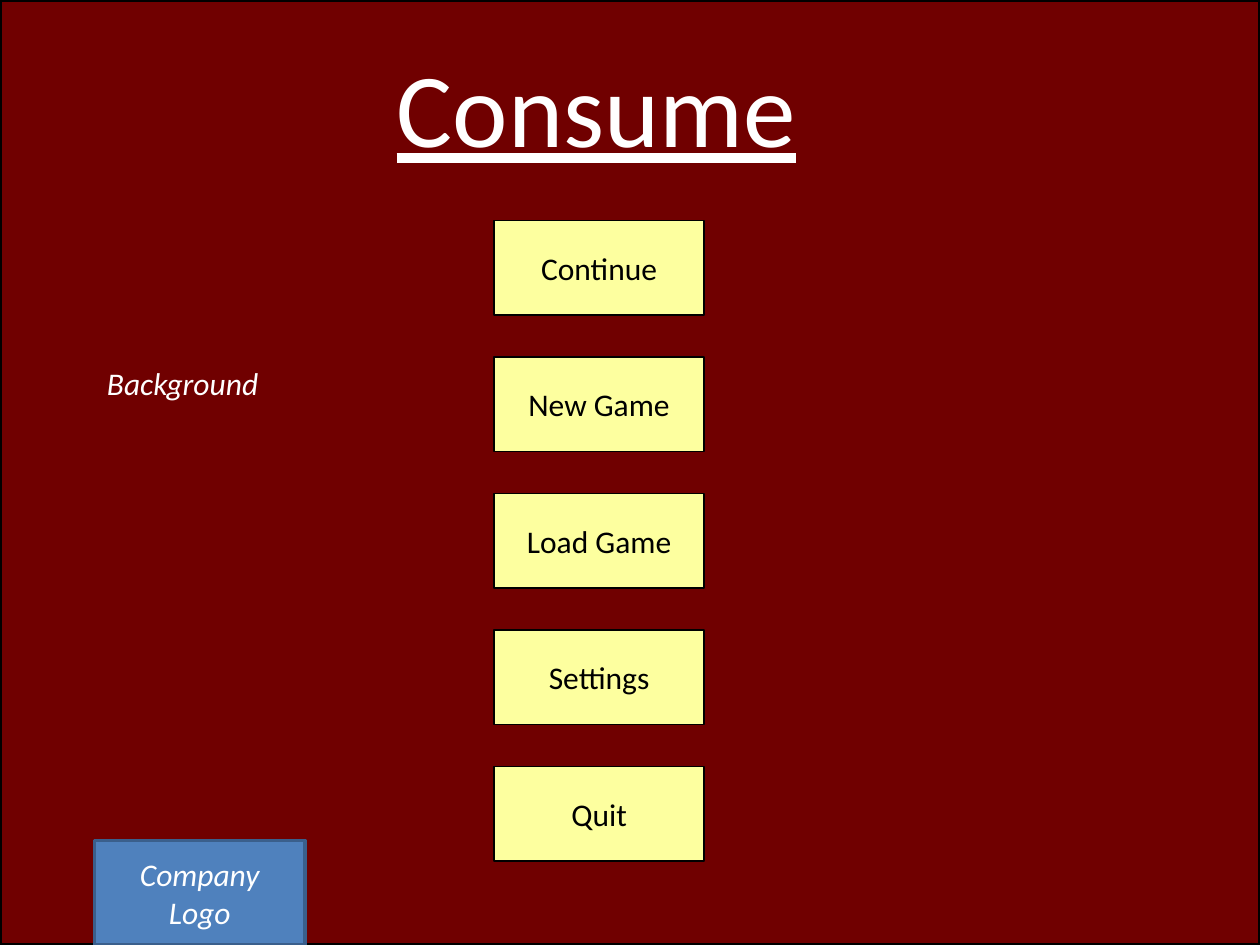
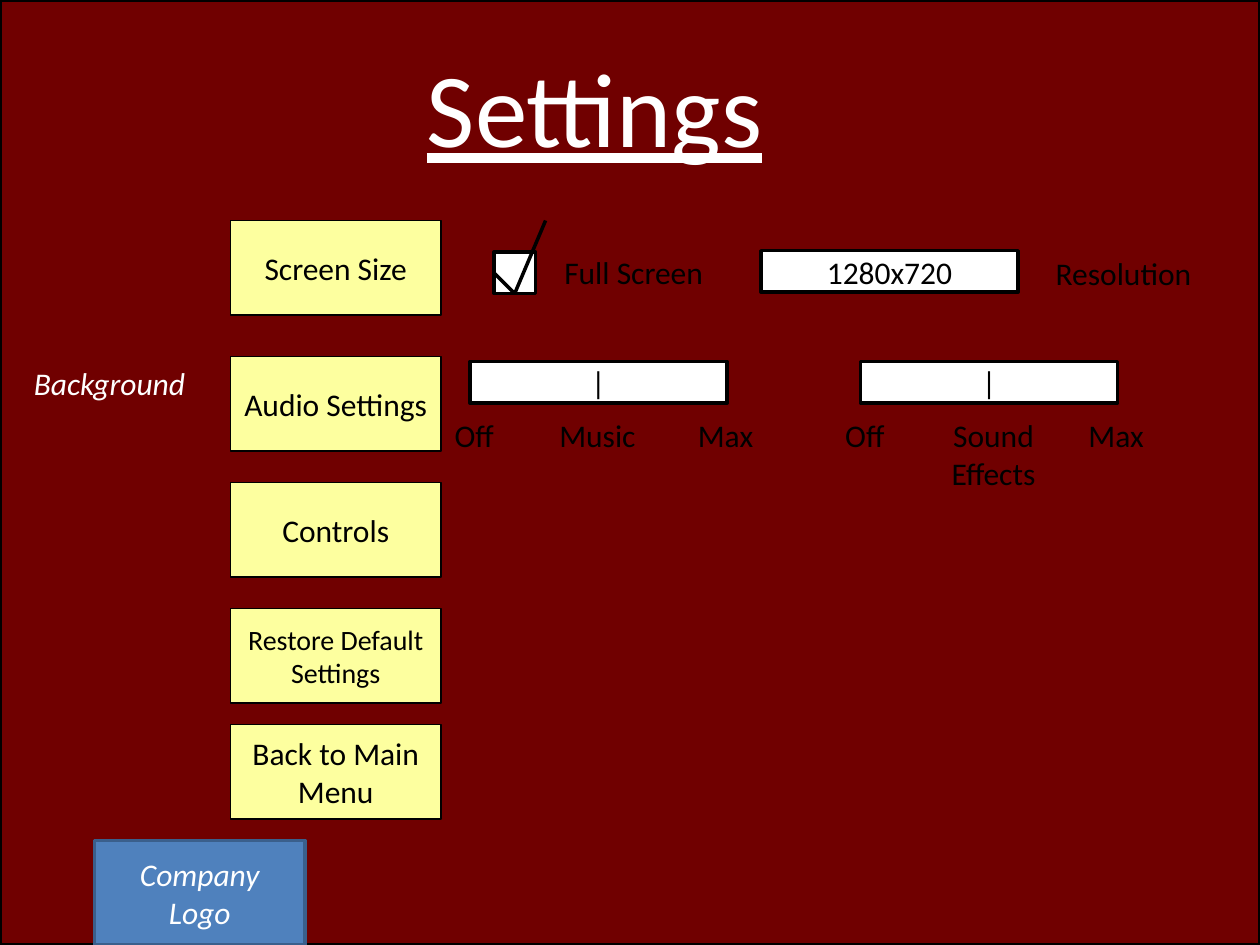
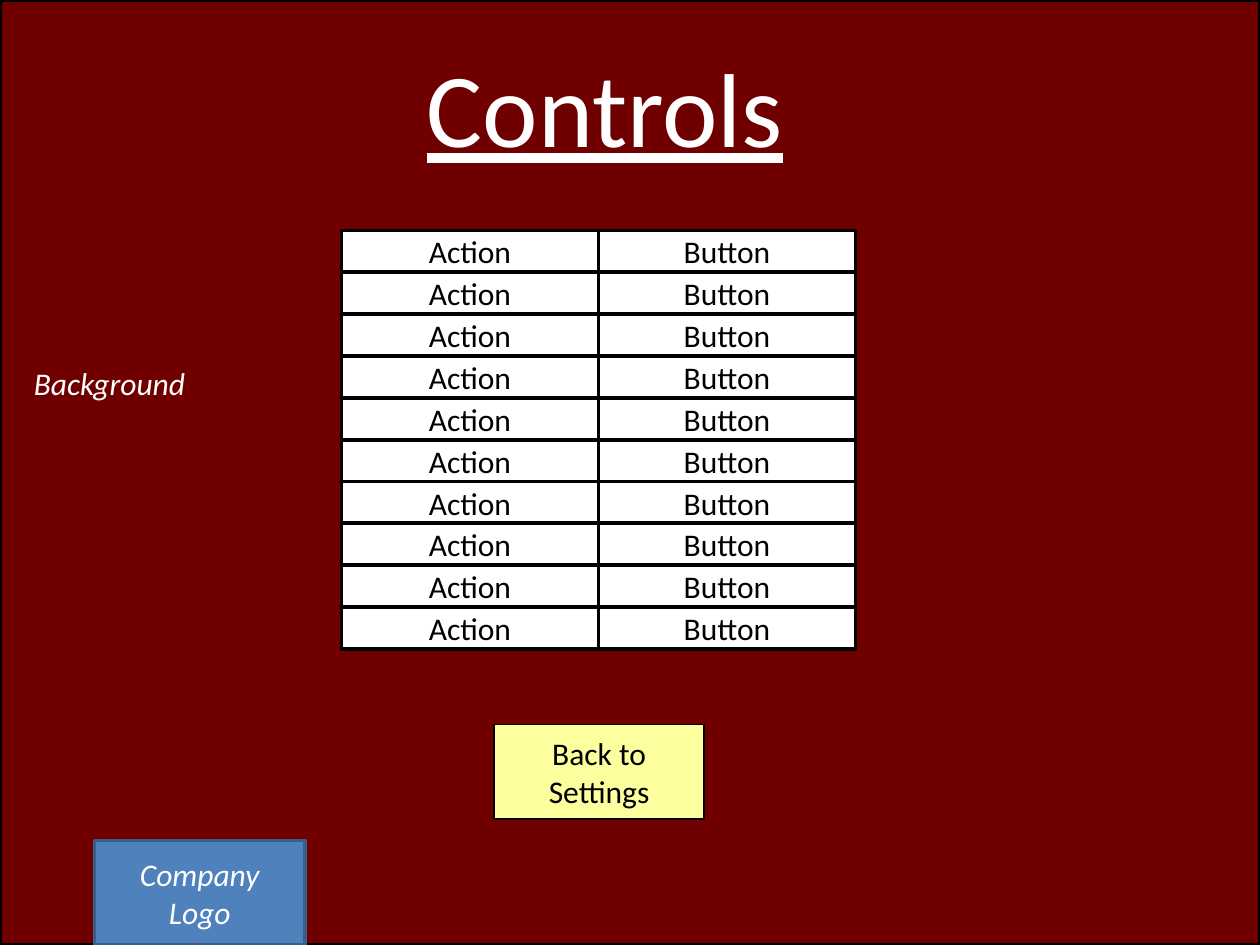
from dataclasses import dataclass

import pptx
import pptx.dml.color
import pptx.enum.shapes
import pptx.enum.text
import pptx.oxml
import pptx.oxml.ns
import pptx.util
from pptx.util import Inches

ALIGN = pptx.enum.text.PP_ALIGN
ANCHOR = pptx.enum.text.MSO_ANCHOR
AUTO_SIZE = pptx.enum.text.MSO_AUTO_SIZE
LEFT_SIDE, BOTTOM_SIDE = 1, 2


@dataclass(frozen=True)
class Theme:
    font: str = "Calibri"
    backdrop: str = "700000"
    button: str = "FDFF9F"
    logo: str = "4F81BD"
    logo_line: str = "3A5F8C"
    black: str = "000000"
    white: str = "FFFFFF"
    title_size: int = 60
    body_size: int = 18
    small_size: int = 16
    thin: int = 1
    thick: int = 2


def rgb(color):
    return pptx.dml.color.RGBColor.from_string(color)


class MenuDeck:
    """Holds the presentation, its theme and the slide being filled."""

    def __init__(self, theme):
        self.theme = theme
        self.presentation = pptx.Presentation()
        self.presentation.slide_width = Inches(10)
        self.presentation.slide_height = Inches(7.5)
        self.slide = None

    def set_text(self, shape, text, color, align, size=None, wrap=True, **styles):
        frame = shape.text_frame
        frame.word_wrap = wrap
        paragraph = frame.paragraphs[0]
        paragraph.alignment = align
        run = paragraph.add_run()
        run.text = text
        run.font.color.rgb = rgb(color)
        formats = {
            "name": self.theme.font,
            "size": pptx.util.Pt(size or self.theme.body_size),
            **styles,
        }
        for name, value in formats.items():
            setattr(run.font, name, value)

    def box(self, left, top, width, height, fill, line=None, line_width=None,
            text="", color=None, **styles):
        shape = self.slide.shapes.add_shape(
            pptx.enum.shapes.MSO_SHAPE.RECTANGLE,
            Inches(left), Inches(top), Inches(width), Inches(height))
        shape.shadow.inherit = False
        shape.fill.solid()
        shape.fill.fore_color.rgb = rgb(fill)
        shape.line.color.rgb = rgb(line or self.theme.black)
        shape.line.width = pptx.util.Pt(line_width or self.theme.thick)
        if text:
            shape.text_frame.vertical_anchor = ANCHOR.MIDDLE
            self.set_text(shape, text, color or self.theme.black, ALIGN.CENTER, **styles)
        return shape

    def label(self, left, top, width, text, height=0.4, color=None,
              align=ALIGN.LEFT, wrap=False, **styles):
        shape = self.slide.shapes.add_textbox(
            Inches(left), Inches(top), Inches(width), Inches(height))
        self.set_text(shape, text, color or self.theme.black, align, wrap=wrap, **styles)
        shape.text_frame.auto_size = AUTO_SIZE.SHAPE_TO_FIT_TEXT

    def button(self, left, top, text, **styles):
        self.box(left, top, 1.67, 0.75, self.theme.button,
                 line_width=self.theme.thin, text=text, **styles)

    def field(self, left, top, text):
        self.box(left, top, 2.04, 0.33, self.theme.white, text=text)

    def stroke(self, start, end):
        connector = self.slide.shapes.add_connector(
            pptx.enum.shapes.MSO_CONNECTOR.STRAIGHT,
            *(Inches(value) for value in (*start, *end)))
        connector.line.color.rgb = rgb(self.theme.black)
        connector.line.width = pptx.util.Pt(self.theme.thick)
        properties = connector._element.spPr
        properties.append(pptx.oxml.parse_xml(
            f"<a:effectLst {pptx.oxml.ns.nsdecls('a')}/>"))
        return connector

    def checkbox(self, left, top):
        """Draw a ticked box; the tick runs from its left side past its top."""
        side = 0.33
        square = self.box(left, top, side, side, self.theme.white)
        corner = (left + side / 2, top + side)
        short_stroke = self.stroke((left, top + side / 2), corner)
        short_stroke.begin_connect(square, LEFT_SIDE)
        short_stroke.end_connect(square, BOTTOM_SIDE)
        long_stroke = self.stroke(corner, (left + 0.41, top - 0.25))
        long_stroke.begin_connect(square, BOTTOM_SIDE)

    def slider(self, left, top, name, name_width, **name_format):
        """Draw a slider at its midpoint with its name and end labels below."""
        self.field(left, top, "|")
        label_top = top + 0.38
        self.label(left - 0.22, label_top, 0.52, "Off")
        self.label(left + 1.71, label_top, 0.64, "Max")
        self.label(left + 0.61, label_top, name_width, name, **name_format)

    def screen(self, title, title_left, title_width, note_left):
        """Start a slide with the parts that every screen has."""
        theme = self.theme
        self.slide = self.presentation.slides.add_slide(
            self.presentation.slide_layouts[6])
        self.box(0, 0, 10, 7.5, theme.backdrop)
        self.label(title_left, 0.29, title_width, title, height=1.11,
                   color=theme.white, size=theme.title_size, underline=True)
        self.label(note_left, 2.84, 1.42, "Background",
                   color=theme.white, italic=True)
        self.box(0.75, 6.67, 1.67, 0.83, theme.logo, theme.logo_line,
                 text="Company Logo", color=theme.white, italic=True)


def main_menu(deck):
    deck.screen("Consume", 3.05, 3.45, note_left=0.75)
    choices = ["Continue", "New Game", "Load Game", "Settings", "Quit"]
    for index, choice in enumerate(choices):
        deck.button(3.92, 1.75 + index * 13 / 12, choice)


def settings(deck):
    deck.screen("Settings", 3.29, 2.92, note_left=0.17)
    choices = {"Screen Size": 1.75, "Audio Settings": 2.83,
               "Controls": 3.83, "Back to Main Menu": 5.75}
    for choice, top in choices.items():
        deck.button(1.83, top, choice)
    deck.button(1.83, 4.83, "Restore Default Settings", size=deck.theme.small_size)

    deck.checkbox(3.92, 2)
    deck.label(4.38, 1.96, 1.32, "Full Screen")
    deck.field(6.04, 1.99, "1280x720")
    deck.label(8.28, 1.97, 1.29, "Resolution")

    deck.slider(3.73, 2.87, "Music", 0.81)
    deck.slider(6.83, 2.87, "Sound Effects", 0.89, height=0.71,
                align=ALIGN.CENTER, wrap=True)


def controls(deck):
    deck.screen("Controls", 3.29, 3.06, note_left=0.17)
    deck.button(3.92, 5.75, "Back to Settings")
    first_top, last_top, rows = 1.83, 4.82, 10
    pitch = (last_top - first_top) / (rows - 1)
    for row in range(rows):
        for left, text in ((2.71, "Action"), (4.75, "Button")):
            deck.field(left, first_top + row * pitch, text)


def main():
    deck = MenuDeck(Theme())
    for build_screen in (main_menu, settings, controls):
        build_screen(deck)
    deck.presentation.save("out.pptx")


if __name__ == "__main__":
    main()
